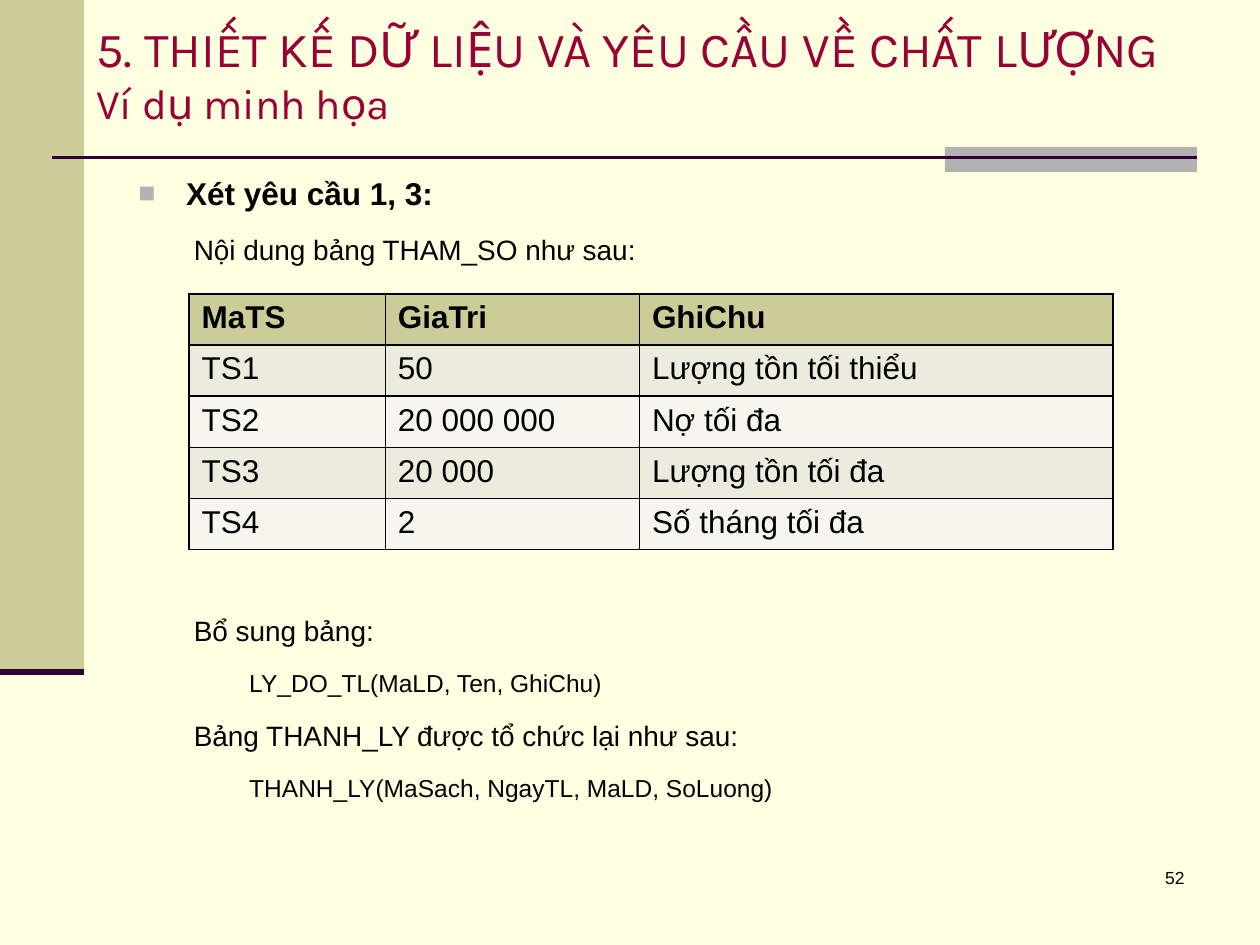
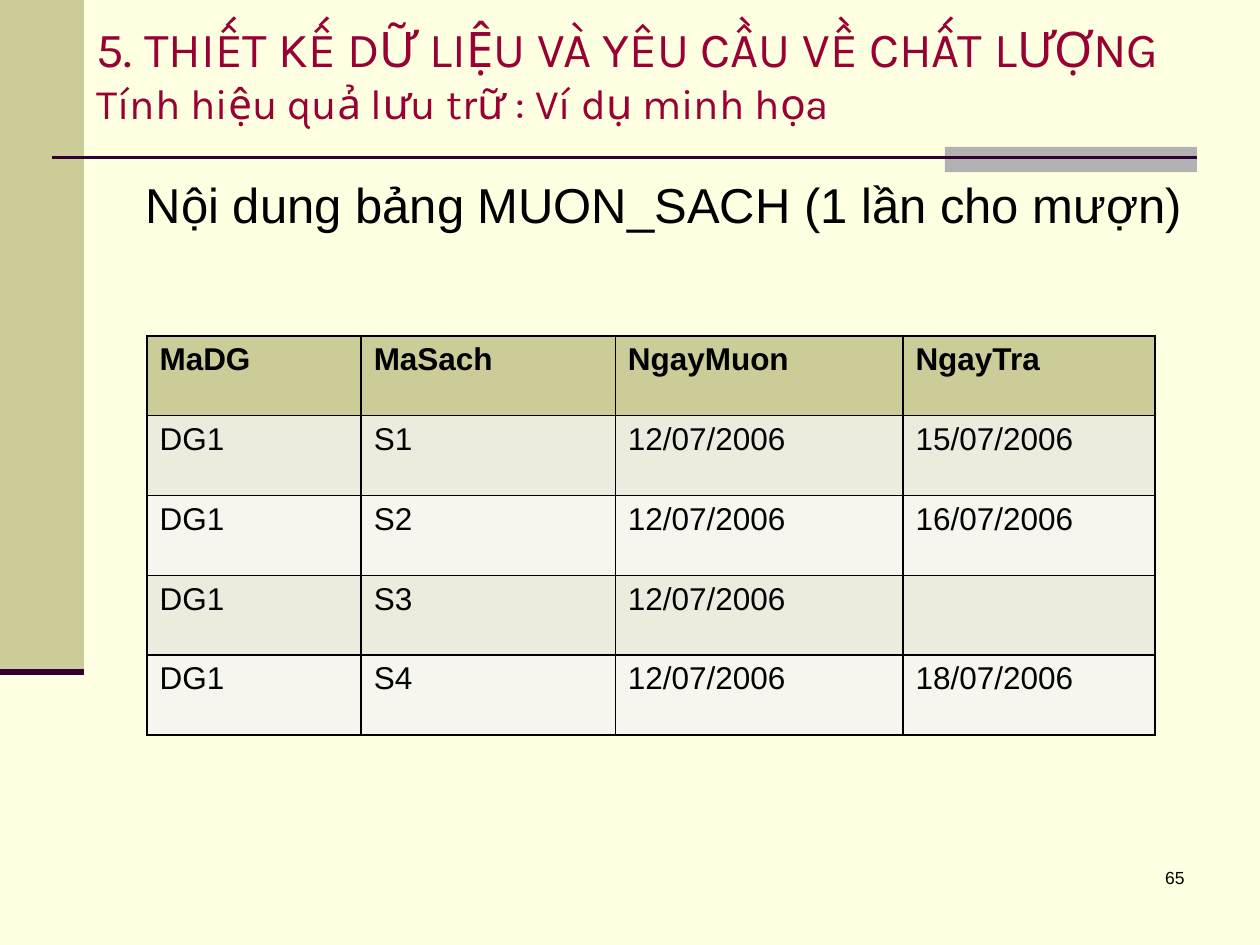
import pptx
import pptx.util
import pptx.dml.color
import pptx.enum.shapes
import pptx.enum.text
import pptx.oxml
import pptx.oxml.ns
import lxml.etree

RGB = pptx.dml.color.RGBColor
CREAM = RGB(0xFF, 0xFF, 0xE1)
KHAKI = RGB(0xCC, 0xCC, 0x99)
GREY = RGB(0xB2, 0xB2, 0xB2)
PLUM = RGB(0x33, 0x00, 0x33)
CRIMSON = RGB(0x99, 0x00, 0x33)
BLACK = RGB(0, 0, 0)
ROW_FILLS = [RGB(0xEC, 0xEC, 0xDE), RGB(0xF6, 0xF6, 0xEF)]
DRAWING = pptx.oxml.ns.nsdecls("a")
Pt = pptx.util.Pt

deck = pptx.Presentation()
deck.slide_width = pptx.util.Inches(10)
deck.slide_height = pptx.util.Inches(7.5)
UNIT = deck.slide_width / 120  # the grid has 120 columns and 90 rows


def grid(*steps):
    return [round(step * UNIT) for step in steps]


def write(para, text, size=18, font="Arial", colour=BLACK, bold=False,
          indent=0, hanging=0, spacing=0, bullet=None, align=None):
    span = para.add_run()
    span.text = text
    span.font.size = Pt(size)
    span.font.name = font
    span.font.color.rgb = colour
    span.font.bold = bold
    para.alignment = align
    para.space_before = para.space_after = Pt(spacing)
    props = para._p.get_or_add_pPr()
    props.set("marL", str(pptx.util.Inches(indent)))
    props.set("indent", str(pptx.util.Inches(-hanging)))
    if bullet:
        for mark in (f'<a:buClr {DRAWING}><a:srgbClr val="{GREY}"/></a:buClr>',
                     f'<a:buSzPct {DRAWING} val="90000"/>',
                     f'<a:buFont {DRAWING} typeface="Arial"/>',
                     f'<a:buChar {DRAWING} char="{bullet}"/>'):
            props.append(pptx.oxml.parse_xml(mark))


# Formats of the body levels
HEAD = dict(size=18, bold=True, indent=0.38, hanging=0.38, bullet="■", spacing=6)
NOTE = dict(size=16, indent=0.44, spacing=6)
SCHEMA = dict(size=14, indent=0.88, spacing=6)
LARGE = dict(size=28, indent=0.06, spacing=6)

# Each body block is its box on the grid and its lines
pages = [
    dict(
        subtitle="Ví dụ minh họa", number="52",
        blocks=[
            ((12, 16, 102, 11), [("Xét yêu cầu 1, 3:", HEAD),
                                 ("Nội dung bảng THAM_SO như sau:", NOTE)]),
            ((12, 57.8, 102, 20.6), [
                ("Bổ sung bảng:", NOTE),
                ("LY_DO_TL(MaLD, Ten, GhiChu)", SCHEMA),
                ("Bảng THANH_LY được tổ chức lại như sau:", NOTE),
                ("THANH_LY(MaSach, NgayTL, MaLD, SoLuong)", SCHEMA)]),
        ],
        corner=(18, 28), columns=[18.7, 24.2, 45.1], row_height=4.87,
        rows=[["MaTS", "GiaTri", "GhiChu"],
              ["TS1", "50", "Lượng tồn tối thiểu"],
              ["TS2", "20 000 000", "Nợ tối đa"],
              ["TS3", "20 000", "Lượng tồn tối đa"],
              ["TS4", "2", "Số tháng tối đa"]]),
    dict(
        subtitle="Tính hiệu quả lưu trữ : Ví dụ minh họa", number="65",
        blocks=[((12, 16, 102, 14),
                 [("Nội dung bảng MUON_SACH (1 lần cho mượn)", LARGE)])],
        corner=(14, 32), columns=[20.4, 24.2, 27.4, 24], row_height=7.6,
        rows=[["MaDG", "MaSach", "NgayMuon", "NgayTra"],
              ["DG1", "S1", "12/07/2006", "15/07/2006"],
              ["DG1", "S2", "12/07/2006", "16/07/2006"],
              ["DG1", "S3", "12/07/2006", ""],
              ["DG1", "S4", "12/07/2006", "18/07/2006"]]),
]

for content in pages:
    page = deck.slides.add_slide(deck.slide_layouts[6])
    page.background.fill.solid()
    page.background.fill.fore_color.rgb = CREAM

    # Side band and title accent
    for place, colour in (((0, 0, 8, 64), KHAKI), ((90, 14, 24, 2.4), GREY)):
        band = page.shapes.add_shape(
            pptx.enum.shapes.MSO_SHAPE.RECTANGLE, *grid(*place))
        band.shadow.inherit = False
        band.fill.solid()
        band.fill.fore_color.rgb = colour
        band.line.fill.background()

    # Rules under the title and the side band
    for ends, width in (((5, 15, 114, 15), 1.5), ((0, 64, 8, 64), 3.5)):
        rule = page.shapes.add_connector(
            pptx.enum.shapes.MSO_CONNECTOR.STRAIGHT, *grid(*ends))
        rule.line.color.rgb = PLUM
        rule.line.width = Pt(width)
        lxml.etree.SubElement(rule._element.spPr,
                              pptx.oxml.ns.qn("a:effectLst"))

    # Title and subtitle
    box = page.shapes.add_textbox(*grid(8, 0, 112, 14))
    box.text_frame.word_wrap = True
    box.text_frame.vertical_anchor = pptx.enum.text.MSO_ANCHOR.MIDDLE
    para = box.text_frame.paragraphs[0]
    write(para, "5. THIẾT KẾ DỮ LIỆU VÀ YÊU CẦU VỀ CHẤT LƯỢNG",
          size=28, font="Karla", colour=CRIMSON)
    para.add_line_break()
    write(para, content["subtitle"], size=24, font="Karla", colour=CRIMSON)

    # Body text
    for place, lines in content["blocks"]:
        box = page.shapes.add_textbox(*grid(*place))
        frame = box.text_frame
        frame.word_wrap = True
        for index, (text, style) in enumerate(lines):
            para = frame.add_paragraph() if index else frame.paragraphs[0]
            write(para, text, **style)

    # Page number
    box = page.shapes.add_textbox(*grid(89, 82, 25, 6))
    box.text_frame.word_wrap = True
    write(box.text_frame.paragraphs[0], content["number"], size=10,
          align=pptx.enum.text.PP_ALIGN.RIGHT)

    # Table
    rows, columns = content["rows"], content["columns"]
    size = (sum(columns), content["row_height"] * len(rows))
    table = page.shapes.add_table(
        len(rows), len(columns), *grid(*content["corner"], *size)).table
    for column, width in zip(table.columns, grid(*columns)):
        column.width = width
    for row_index, row in enumerate(rows):
        for column_index, text in enumerate(row):
            cell = table.cell(row_index, column_index)
            if text:
                write(cell.text_frame.paragraphs[0], text,
                      bold=row_index == 0)
            props = cell._tc.get_or_add_tcPr()
            for side in ("lnL", "lnR", "lnT", "lnB"):
                props.append(pptx.oxml.parse_xml(
                    f'<a:{side} {DRAWING} w="{Pt(1)}"><a:solidFill>'
                    f'<a:srgbClr val="{BLACK}"/></a:solidFill></a:{side}>'))
            cell.fill.solid()
            cell.fill.fore_color.rgb = (
                ROW_FILLS[(row_index - 1) % 2] if row_index else KHAKI)

deck.save("out.pptx")
